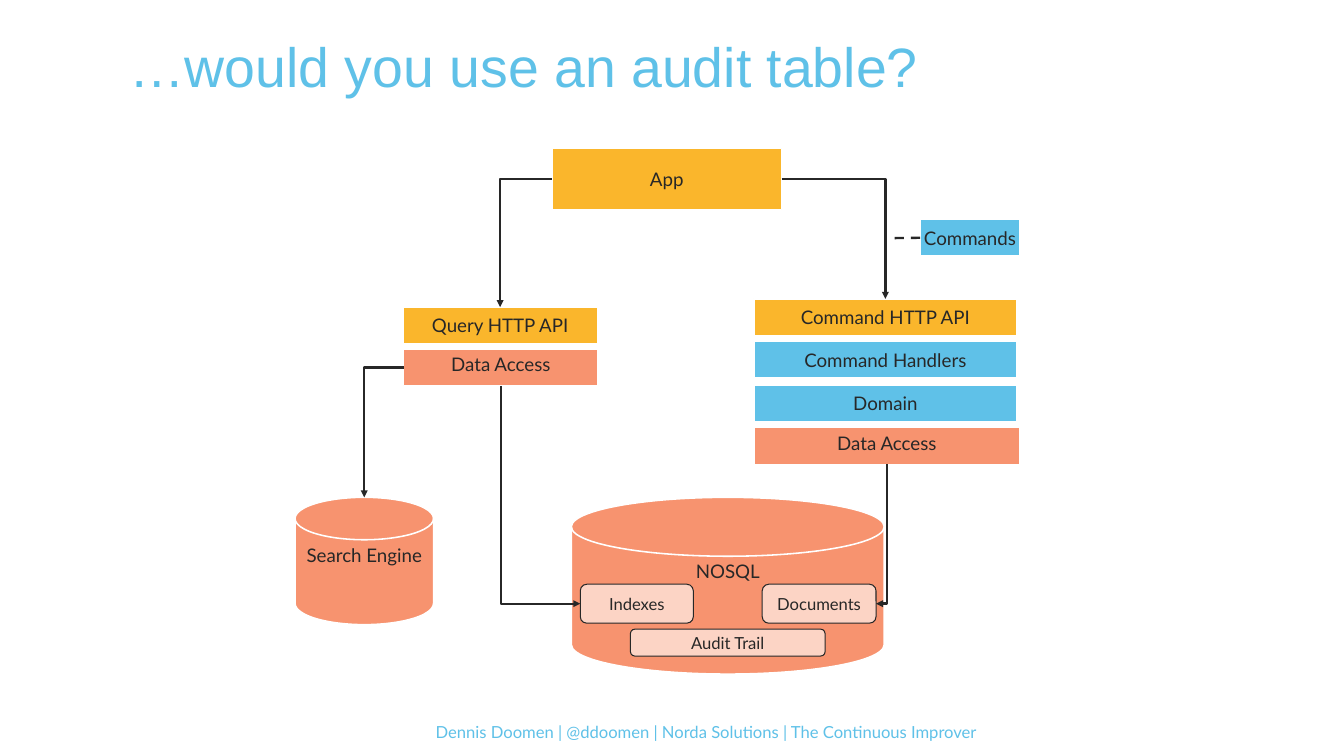
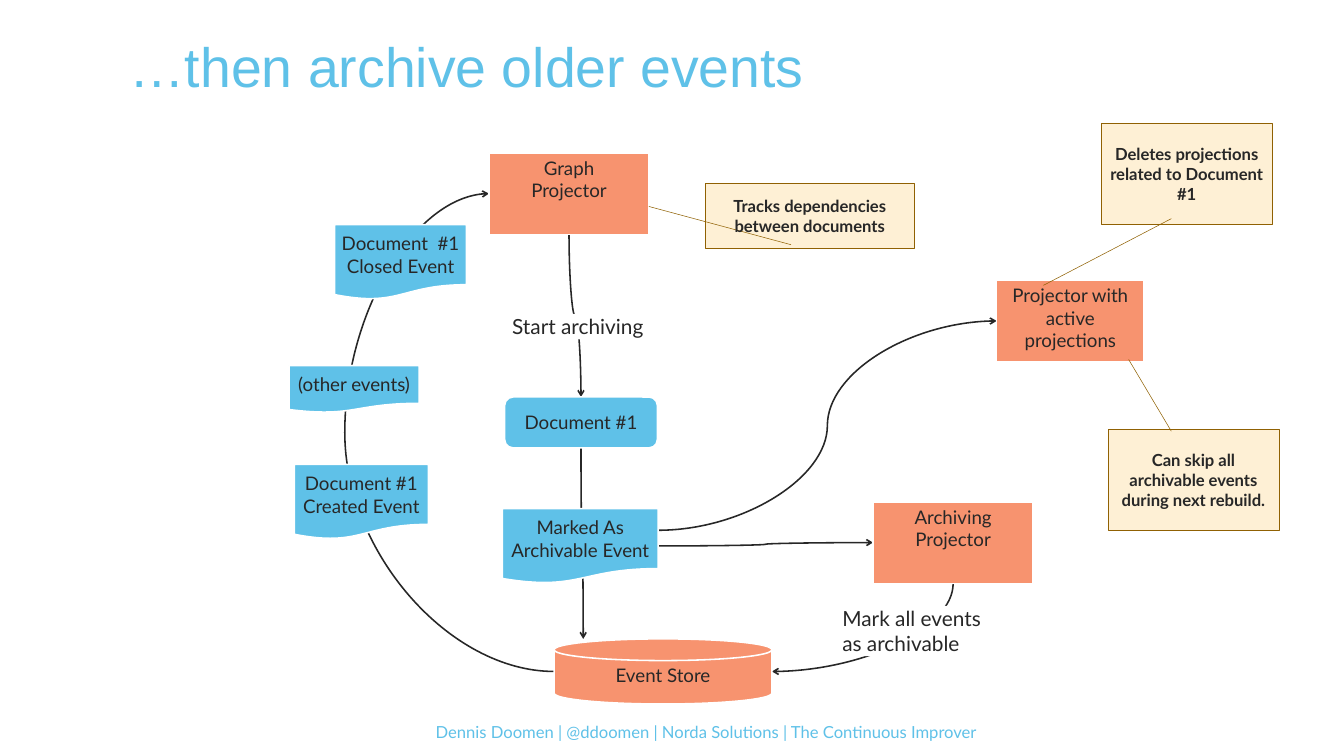
from lxml import etree
from pptx import Presentation
from pptx import util as u
from pptx.dml.color import RGBColor
from pptx.enum import dml, shapes, text
from pptx.oxml.ns import qn

PX = 9144  # EMU in one px, 100 px to the inch
SLIDE_SIZE = (1795, 1000)

SKY = RGBColor(0x5F, 0xC1, 0xE8)
AMBER = RGBColor(0xFA, 0xB6, 0x2C)
CORAL = RGBColor(0xF7, 0x93, 0x6F)
BLUSH = RGBColor(0xFC, 0xD4, 0xC5)
CREAM = RGBColor(0xFE, 0xF0, 0xD5)
BROWN = RGBColor(0x90, 0x61, 0x03)
INK = RGBColor(0x27, 0x27, 0x27)
WHITE = RGBColor(0xFF, 0xFF, 0xFF)

KIND = shapes.MSO_SHAPE
LINK = shapes.MSO_CONNECTOR
ALIGN = text.PP_ALIGN
ANCHOR = text.MSO_ANCHOR

FOOTER = "Dennis Doomen | @ddoomen | Norda Solutions | The Continuous Improver"
FOOTER_BOX = (150, 962, 1547, 34)
TITLE_BOX = (123, -4, 1548, 193)
TEXT_INDENT = 40

# Looks: what a shape has beyond the basic one
BASIC = dict(kind=KIND.RECTANGLE, fill=CORAL, line=WHITE, weight=1.5, size=18, bold=False,
             align=ALIGN.CENTER, anchor=ANCHOR.MIDDLE, inset=True)
LOOKS = {
    "api": dict(fill=AMBER),
    "logic": dict(fill=SKY, inset=False),
    "event": dict(kind=KIND.FLOWCHART_DOCUMENT, fill=SKY, inset=False),
    "entity": dict(kind=KIND.FLOWCHART_ALTERNATE_PROCESS, fill=SKY, inset=False),
    "process": dict(anchor=ANCHOR.TOP),
    "store": dict(kind=KIND.FLOWCHART_MAGNETIC_DISK, anchor=ANCHOR.TOP),
    "part": dict(kind=KIND.ROUNDED_RECTANGLE, fill=BLUSH, line=INK, weight=1, size=16),
    "label": dict(fill=WHITE, line=None, size=20, align=ALIGN.LEFT,
                  anchor=ANCHOR.TOP, inset=False),
    "note": dict(kind=KIND.LINE_CALLOUT_1, fill=CREAM, line=BROWN, weight=0.5,
                 size=16, bold=True),
}

# The command side is a stack of evenly spaced layers
LAYER_TOP, LAYER_PITCH = 399, 57.33
COMMAND_LAYERS = [("command api", "api", "Command HTTP API", 351),
                  ("handlers", "logic", "Command Handlers", 351),
                  ("domain", "logic", "Domain", 351),
                  ("command data", "process", "Data Access", 355)]

# Shapes: key, look, text, box, callout adjustments
AUDIT_SHAPES = [
    ("commands", "logic", "Commands", (1229, 293, 133, 49)),
    ("app", "api", "App", (737, 198, 307, 82)),
    ("query api", "api", "Query HTTP API", (538, 410, 260, 49)),
    ("query data", "process", "Data Access", (539, 466, 260, 49)),
    ("nosql", "store", "NOSQL", (763, 664, 418, 236)),
    ("documents", "part", "Documents", (1018, 780, 152, 52)),
    ("indexes", "part", "Indexes", (775, 780, 151, 52)),
    ("search", "store", "Search Engine", (394, 664, 185, 170)),
    ("audit", "part", "Audit Trail", (842, 840, 260, 36)),
] + [(key, look, words, (1007, round(LAYER_TOP + i * LAYER_PITCH), width, 49))
     for i, (key, look, words, width) in enumerate(COMMAND_LAYERS)]

ARCHIVE_SHAPES = [
    ("created", "event", "Document #1\nCreated Event", (393, 620, 179, 100)),
    ("event store", "store", "Event Store", (740, 853, 291, 87)),
    ("graph", "process", "Graph\nProjector", (653, 204, 214, 109)),
    ("closed", "event", "Document  #1\nClosed Event", (447, 300, 176, 100)),
    ("others", "event", "(other events)", (386, 488, 174, 63)),
    ("active", "process", "Projector with active projections", (1331, 374, 197, 109)),
    ("archiving", "process", "Archiving\nProjector", (1166, 670, 214, 109)),
    ("start", "label", "Start archiving", (684, 419, 206, 34)),
    ("document", "entity", "Document #1", (674, 530, 204, 68)),
    ("marked", "event", "Marked As\nArchivable Event", (671, 679, 208, 100)),
    ("mark all", "label", "Mark all events as archivable", (1125, 809, 206, 67)),
    ("tracks", "note", "Tracks dependencies\nbetween documents", (942, 244, 279, 88),
     (0.94, 0.41, 0.36, -0.27)),
    ("deletes", "note", "Deletes projections related to Document #1",
     (1471, 165, 228, 135), (0.94, 0.41, 1.6, -0.34)),
    ("skip", "note", "Can skip all archivable events during next rebuild.",
     (1480, 573, 228, 135), (0.02, 0.37, -0.69, 0.12)),
]

# Links: from and to (key and side, or a free point), preset, first direction, adjustment
AUDIT_LINKS = [
    (("app", "right"), ("command api", "top"), "bentConnector2", "across", None),
    (("app", "left"), ("query api", "top"), "bentConnector2", "across", None),
    (("command data", "bottom"), ("documents", "right"), "bentConnector2", "down", None),
    (("query data", "bottom"), ("indexes", "left"), "bentConnector2", "down", None),
    (("query data", "left"), ("search", "top"), "bentConnector2", "across", None),
]
ARCHIVE_LINKS = [
    (("event store", "left"), ("graph", "left"), "curvedConnector3", "across", 321200),
    (("graph", "bottom"), ("document", "top"), "curvedConnector3", "down", 50000),
    (("document", "bottom"), (779, 853), "curvedConnector3", "down", 50000),
    (("marked", "right"), ("archiving", "left"), "curvedConnector3", "across", 50000),
    (("archiving", "bottom"), ("event store", "right"), "curvedConnector2", "down", None),
    ((879, 708), ("active", "left"), "curvedConnector3", "across", 50000),
]
COMMANDS_DASH_END = (1187, 318)

SIDES = {"top": (0.5, 0), "left": (0, 0.5), "bottom": (0.5, 1), "right": (1, 0.5)}


def place(shape, box):
    for name, value in zip(("left", "top", "width", "height"), box):
        setattr(shape, name, round(value * PX))


def write(frame, words, look, indent=0):
    """Fill a text frame with one formatted paragraph."""
    frame.word_wrap = True
    frame.auto_size = text.MSO_AUTO_SIZE.NONE
    frame.vertical_anchor = look["anchor"]
    paragraph = frame.paragraphs[0]
    paragraph.text = words
    paragraph.alignment = look["align"]
    if indent:
        properties = paragraph._p.get_or_add_pPr()
        properties.set("marL", str(indent * PX))
        properties.set("indent", "0")
        paragraph.line_spacing = 0.9
    for run in paragraph.runs:
        font = dict(name=look.get("font", "Lato"), size=u.Pt(look["size"]),
                    bold=look.get("bold", False))
        for name, value in font.items():
            setattr(run.font, name, value)
        run.font.color.rgb = look.get("color", INK)


def add_box(slide, look_name, words, box, adjustments=()):
    look = {**BASIC, **LOOKS[look_name]}
    shape = slide.shapes.add_shape(look["kind"], 0, 0, 0, 0)
    place(shape, box)
    shape.shadow.inherit = False
    shape.fill.solid()
    shape.fill.fore_color.rgb = look["fill"]
    if look["line"] is None:
        shape.line.fill.background()
    else:
        shape.line.color.rgb = look["line"]
        shape.line.width = u.Pt(look["weight"])
    for i, value in enumerate(adjustments):
        shape.adjustments[i] = value
    if not look["inset"]:
        for side in SIDES:
            setattr(shape.text_frame, "margin_" + side, 0)
    write(shape.text_frame, words, look)
    return shape


def style_link(connector, weight, arrow=None):
    connector.line.color.rgb = INK
    connector.line.width = u.Pt(weight)
    if arrow:
        etree.SubElement(connector.line._get_or_add_ln(), qn("a:tailEnd"), type=arrow)
    etree.SubElement(connector._element.spPr, qn("a:effectLst"))


def locate(end, boxes):
    """Position of a link's end, in EMU."""
    if end[0] not in boxes:
        return [value * PX for value in end]
    shape, (across, down) = boxes[end[0]], SIDES[end[1]]
    return [shape.left + shape.width * across, shape.top + shape.height * down]


def glue(connector, tag, end, boxes):
    if end[0] not in boxes:
        return
    shape = boxes[end[0]]
    # A disk has one more connection site ahead of its top
    is_disk = shape.auto_shape_type == KIND.FLOWCHART_MAGNETIC_DISK
    site = list(SIDES).index(end[1]) + is_disk
    etree.SubElement(connector._element.nvCxnSpPr.cNvCxnSpPr, qn(tag),
                     id=str(shape.shape_id), idx=str(site))


def add_link(slide, boxes, start, finish, preset, direction, adjustment, weight, arrow):
    """Bent or curved connector; one that sets off downwards is turned by 90 degrees."""
    (x1, y1), (x2, y2) = locate(start, boxes), locate(finish, boxes)
    width, height = abs(x2 - x1), abs(y2 - y1)
    flips = {"flipH": x2 < x1, "flipV": y2 < y1}
    kind = LINK.ELBOW if preset.startswith("bent") else LINK.CURVE
    connector = slide.shapes.add_connector(kind, 0, 0, 0, 0)
    properties = connector._element.spPr
    frame = properties.find(qn("a:xfrm"))
    if direction == "down":
        width, height = height, width
        flips = {"flipV": x2 > x1}
        frame.set("rot", "5400000")
    for name, on in flips.items():
        if on:
            frame.set(name, "1")
    place(connector, [value / PX for value in
                      ((x1 + x2 - width) / 2, (y1 + y2 - height) / 2, width, height)])
    geometry = properties.find(qn("a:prstGeom"))
    geometry.set("prst", preset)
    if adjustment:
        values = geometry.find(qn("a:avLst"))
        if values is None:
            values = etree.SubElement(geometry, qn("a:avLst"))
        etree.SubElement(values, qn("a:gd"), name="adj1", fmla=f"val {adjustment}")
    glue(connector, "a:stCxn", start, boxes)
    glue(connector, "a:endCxn", finish, boxes)
    style_link(connector, weight, arrow)
    return connector


def add_slide(presentation, title):
    """Slide with the shared title and footer."""
    slide = presentation.slides.add_slide(presentation.slide_layouts[5])
    place(slide.shapes.title, TITLE_BOX)
    write(slide.shapes.title.text_frame, title,
          dict(font="Arial", size=53.3, color=SKY, align=ALIGN.LEFT, anchor=ANCHOR.MIDDLE),
          TEXT_INDENT)
    footer = slide.shapes.add_textbox(0, 0, 0, 0)
    place(footer, FOOTER_BOX)
    write(footer.text_frame, FOOTER,
          dict(size=16, color=SKY, align=ALIGN.CENTER, anchor=ANCHOR.TOP), TEXT_INDENT)
    return slide


def add_boxes(slide, rows):
    return {key: add_box(slide, *row) for key, *row in rows}


def main():
    presentation = Presentation()
    presentation.slide_width, presentation.slide_height = (v * PX for v in SLIDE_SIZE)

    # Audit table: links run over the stores
    slide = add_slide(presentation, "…would you use an audit table?")
    boxes = add_boxes(slide, AUDIT_SHAPES)
    for link in AUDIT_LINKS:
        add_link(slide, boxes, *link, weight=2.25, arrow="triangle")
    end_x, end_y = (value * PX for value in COMMANDS_DASH_END)
    dash = slide.shapes.add_connector(LINK.STRAIGHT, end_x, end_y, end_x, end_y)
    dash.begin_connect(boxes["commands"], 1)
    dash.line.dash_style = dml.MSO_LINE.DASH
    style_link(dash, 2.25)

    # Archiving: links run behind the events and labels
    slide = add_slide(presentation, "…then archive older events")
    boxes = add_boxes(slide, ARCHIVE_SHAPES)
    for link in ARCHIVE_LINKS:
        connector = add_link(slide, boxes, *link, weight=1.5, arrow="arrow")
        slide.shapes._spTree.insert(2, connector._element)

    presentation.save("out.pptx")


if __name__ == "__main__":
    main()
